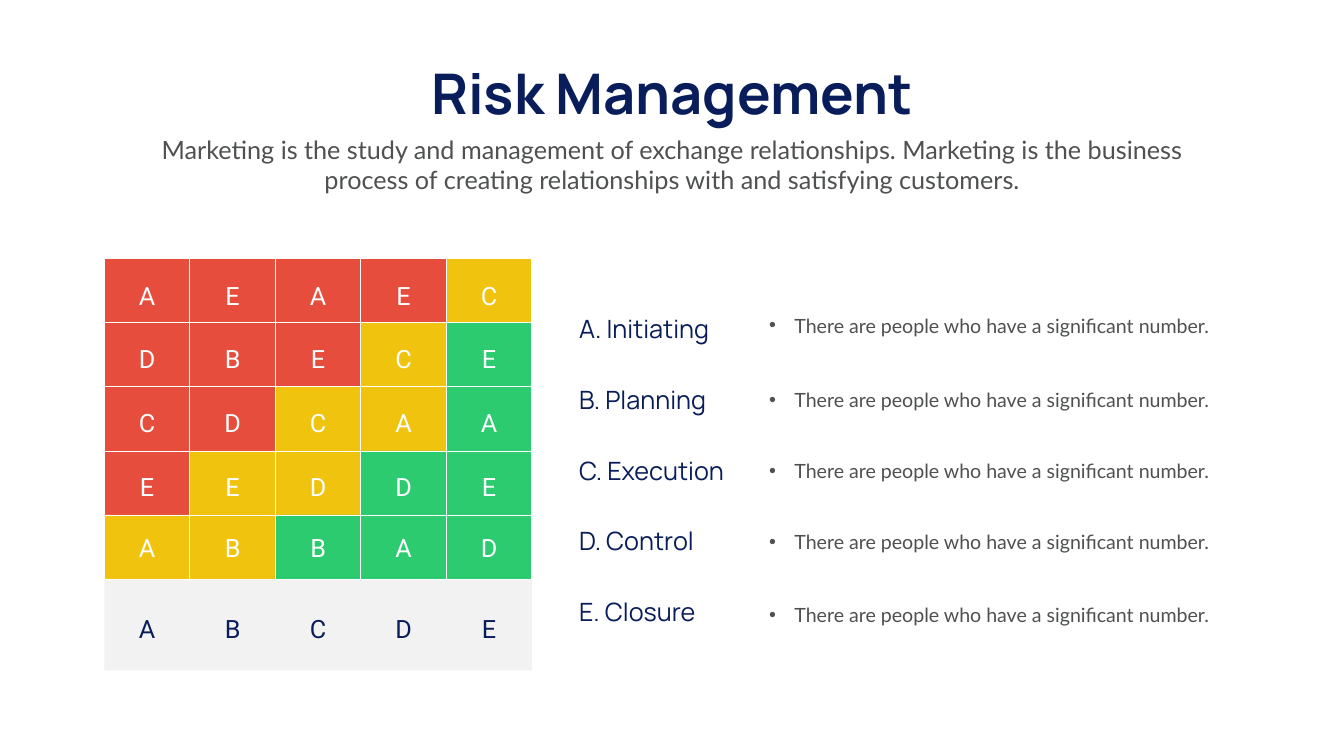
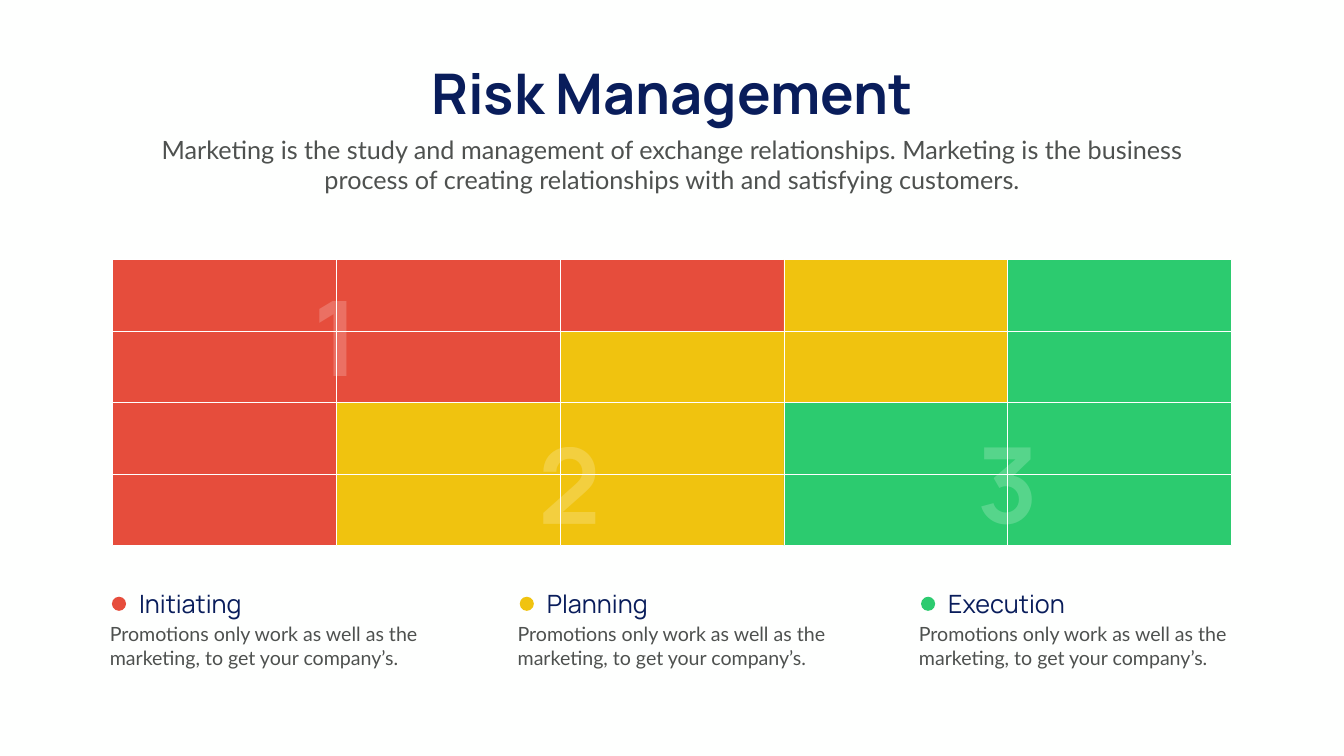
"""Build two risk management slides: a lettered matrix and a zoned matrix."""
from lxml import etree
from pptx import Presentation
from pptx.dml.color import RGBColor
from pptx.enum.shapes import MSO_SHAPE
from pptx.enum.text import MSO_AUTO_SIZE, PP_ALIGN
from pptx.oxml.ns import qn
from pptx.util import Emu, Pt

RECTANGLE, OVAL = MSO_SHAPE.RECTANGLE, MSO_SHAPE.OVAL
LEFT, CENTER = PP_ALIGN.LEFT, PP_ALIGN.CENTER
FIT_SHAPE = MSO_AUTO_SIZE.SHAPE_TO_FIT_TEXT
PX = 9144
PAGE_SIZE = (2666, 1500)

PAPER, WHITE, NAVY, SLATE, GREY = "FEFFFE", "FFFFFF", "091D5B", "4E514F", "808080"
LEVELS = {"R": "E64D3C", "Y": "F0C30F", "G": "2CCB6F"}

TITLE_STYLE = {"name": "Manrope", "size": 80, "color": NAVY, "bold": True}
LEAD_STYLE = {"name": "Lato", "size": 36, "color": SLATE}
HEADING_STYLE = {"name": "Manrope", "size": 36, "color": NAVY}
BODY_STYLE = {"name": "Lato", "size": 28, "color": SLATE}
LETTER_STYLE = {"name": "Roboto", "size": 36, "color": WHITE}
AXIS_STYLE = {**LETTER_STYLE, "color": NAVY}
NUMBER_STYLE = {"name": "Manrope", "size": 150, "color": WHITE, "bold": True}

TITLE = "Risk Management"
LEAD = ("Marketing is the study and management of exchange relationships. "
        "Marketing is the business process of creating relationships with "
        "and satisfying customers.")

LETTER_GRID = (207, 513, 848, 636)
LETTER_LEVELS = ["RRRRY", "RRRYG", "RRYYG", "RYYGG", "YYGGG"]
LETTER_ROWS = [(552, "AEAEC"), (676, "DBECE"), (804, "CDCAA"),
               (931, "EEDDE"), (1052, "ABBAD")]
AXIS_ROW = (1212, "ABCDE")
AXIS_HEIGHT = 181
LETTER_SIZE = (129, 71)

PHASES = ["A. Initiating", "B. Planning", "C. Execution", "D. Control", "E. Closure"]
PHASE_TOP, PHASE_SPAN = 617, 561
NOTE = "There are people who have a significant number."
NOTE_TOPS = [617, 765, 906, 1046, 1191]

ZONE_GRID = (223, 515, 2220, 568)
ZONE_LEVELS = ["RRRYG", "RRYYG", "RYYGG", "RYYGG"]
ZONE_NUMBERS = [("1", 349, 534), ("2", 812, 828), ("3", 1682, 825)]
ZONES = [("Initiating", "R", 208), ("Planning", "Y", 1017), ("Execution", "G", 1813)]
PROMOTION = "Promotions only work as well as the marketing, to get your company’s."


def rgb(value):
    """Turn a hex string into a colour."""
    return RGBColor.from_string(value)


def scale(area):
    """Turn px lengths into EMU."""
    return [Emu(round(length * PX)) for length in area]


def set_opacity(element, percent):
    """Make every colour inside an element partly transparent."""
    for color in element.iter(qn("a:srgbClr")):
        etree.SubElement(color, qn("a:alpha")).set("val", str(percent * 1000))


def add_bullet(para, indent):
    """Give a paragraph a hanging round bullet."""
    properties = para._p.get_or_add_pPr()
    properties.set("marL", str(indent * PX))
    properties.set("indent", str(-indent * PX))
    etree.SubElement(properties, qn("a:buFont")).set("typeface", "Arial")
    etree.SubElement(properties, qn("a:buChar")).set("char", "•")


def add_text(page, area, text, style, align=LEFT, wrap=True, bullet=0, opacity=100):
    """Place one paragraph of text in a box."""
    box = page.shapes.add_textbox(*scale(area))
    frame = box.text_frame
    frame.word_wrap = wrap
    frame.auto_size = FIT_SHAPE
    para = frame.paragraphs[0]
    para.alignment = align
    if bullet:
        add_bullet(para, bullet)
    span = para.add_run()
    span.text = text
    for key, value in style.items():
        if key == "color":
            span.font.color.rgb = rgb(value)
        else:
            setattr(span.font, key, Pt(value) if key == "size" else value)
    if opacity < 100:
        set_opacity(span._r, opacity)


def add_block(page, kind, area, fill, line=None):
    """Place a filled shape, outlined only when a line colour is given."""
    shape = page.shapes.add_shape(kind, *scale(area))
    shape.shadow.inherit = False
    shape.fill.solid()
    shape.fill.fore_color.rgb = rgb(fill)
    if line:
        shape.line.color.rgb = rgb(line)
        shape.line.width = Pt(1)
    else:
        shape.line.fill.background()
    return shape


def add_matrix(page, grid, levels):
    """Draw a grid of cells coloured by risk level."""
    left, top, width, height = grid
    cell_width, cell_height = width / len(levels[0]), height / len(levels)
    for row, codes in enumerate(levels):
        for column, code in enumerate(codes):
            area = (left + column * cell_width, top + row * cell_height,
                    cell_width, cell_height)
            add_block(page, RECTANGLE, area, LEVELS[code], WHITE)


def add_letters(page, top, letters, style):
    """Centre a row of letters on the matrix columns."""
    left, _, width, _ = LETTER_GRID
    step = width / len(letters)
    margin = (step - LETTER_SIZE[0]) / 2
    for column, letter in enumerate(letters):
        area = (left + column * step + margin, top, *LETTER_SIZE)
        add_text(page, area, letter, style, CENTER)


def add_page(deck):
    """Add a blank page with the shared background, title and lead."""
    page = deck.slides.add_slide(deck.slide_layouts[6])
    page.background.fill.solid()
    page.background.fill.fore_color.rgb = rgb(PAPER)
    add_text(page, (799, 112, 1068, 145), TITLE, TITLE_STYLE, CENTER, wrap=False)
    add_text(page, (292, 261, 2082, 131), LEAD, LEAD_STYLE, CENTER)
    return page


def build_letter_page(deck):
    """Draw the lettered matrix and its list of phases."""
    page = add_page(deck)
    left, top, width, height = LETTER_GRID
    axis = add_block(page, RECTANGLE, (left, top + height, width, AXIS_HEIGHT), GREY)
    set_opacity(axis._element.spPr, 10)
    add_matrix(page, LETTER_GRID, LETTER_LEVELS)
    add_letters(page, *AXIS_ROW, AXIS_STYLE)
    for row_top, letters in LETTER_ROWS:
        add_letters(page, row_top, letters, LETTER_STYLE)
    step = PHASE_SPAN / (len(PHASES) - 1)
    for index, (phase, note_top) in enumerate(zip(PHASES, NOTE_TOPS)):
        phase_top = PHASE_TOP + index * step
        add_text(page, (1139, phase_top, 330, 71), phase, HEADING_STYLE)
        add_text(page, (1516, note_top, 943, 57), NOTE, BODY_STYLE, bullet=50)


def build_zone_page(deck):
    """Draw the zoned matrix and its legend."""
    page = add_page(deck)
    add_matrix(page, ZONE_GRID, ZONE_LEVELS)
    for number, left, top in ZONE_NUMBERS:
        add_text(page, (left, top, 636, 263), number, NUMBER_STYLE, CENTER, opacity=20)
    for name, code, left in ZONES:
        add_text(page, (left + 58, 1163, 499, 71), name, HEADING_STYLE)
        add_text(page, (left, 1230, 645, 104), PROMOTION, BODY_STYLE)
        add_block(page, OVAL, (left + 14, 1184, 28, 28), LEVELS[code])


def main():
    """Build and save the deck."""
    deck = Presentation()
    deck.slide_width, deck.slide_height = scale(PAGE_SIZE)
    build_letter_page(deck)
    build_zone_page(deck)
    deck.save("out.pptx")


if __name__ == "__main__":
    main()
